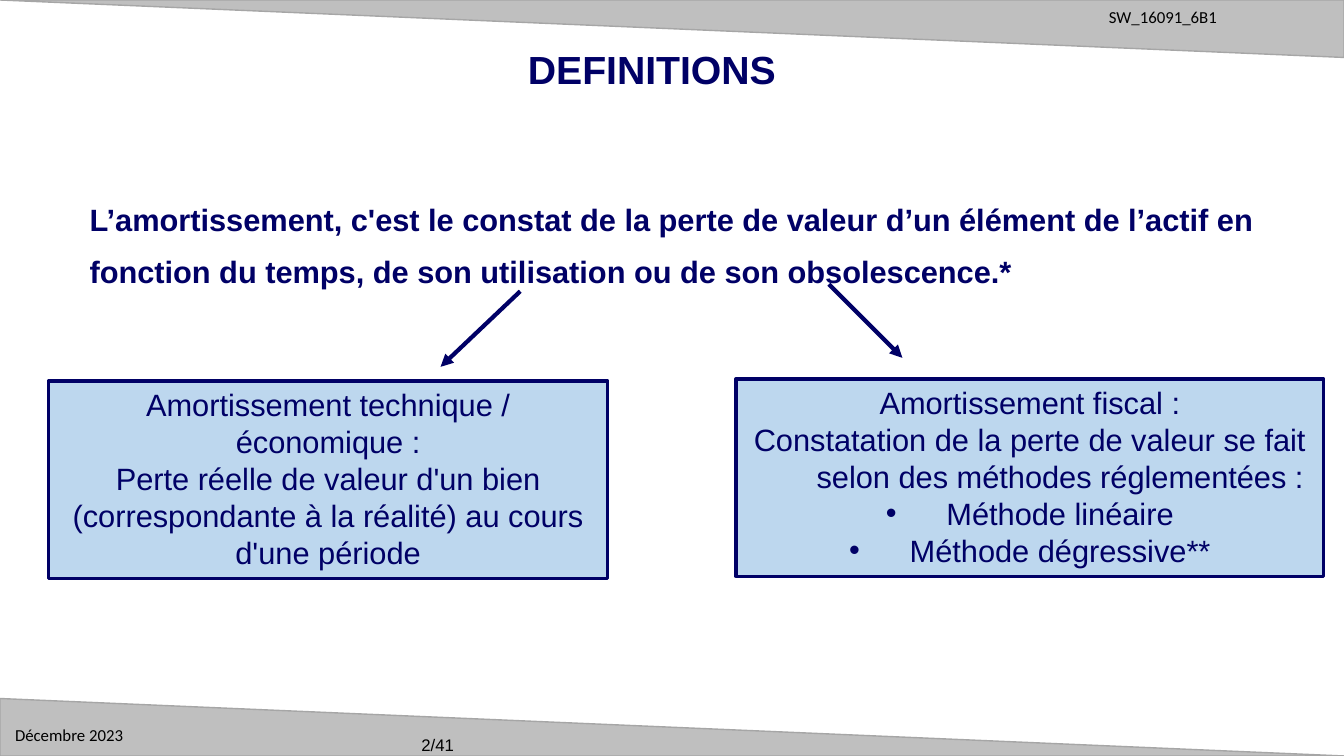
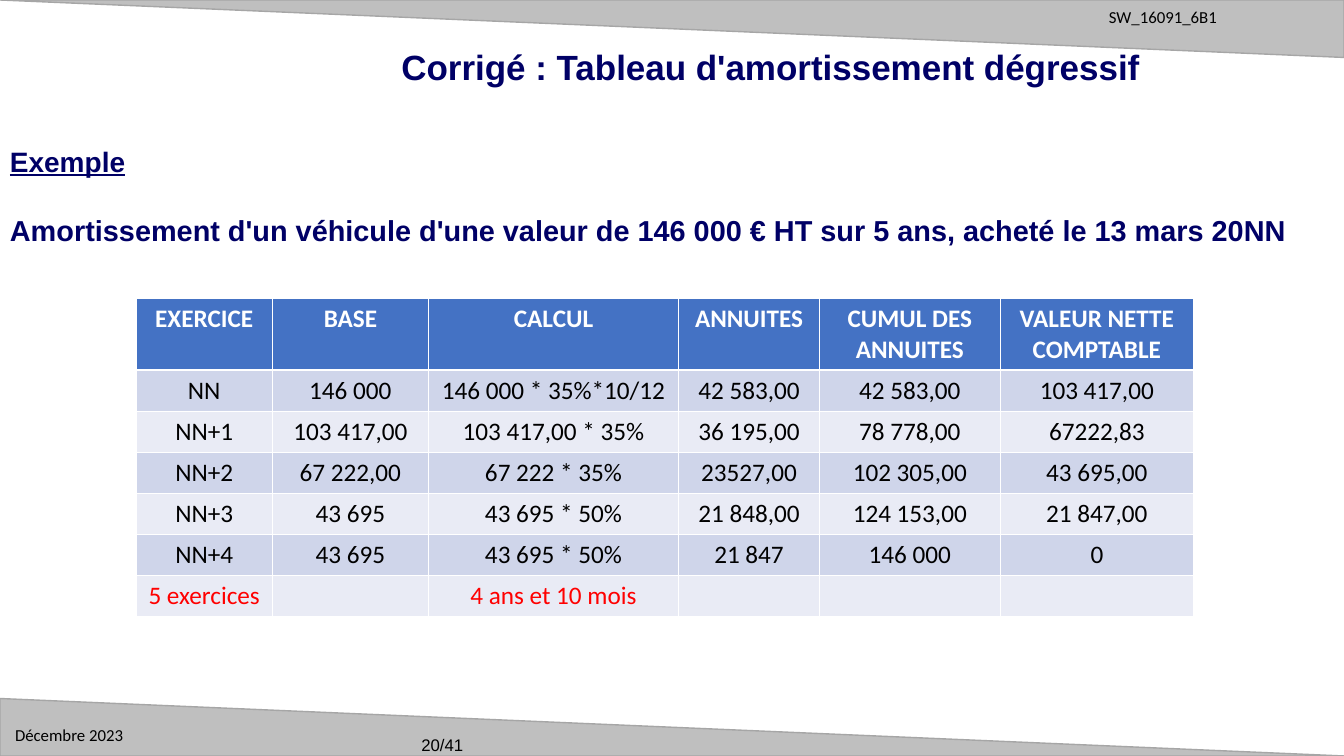
"""Build two slides on depreciation: its definitions and a worked table."""
from lxml.etree import SubElement
from pptx import Presentation
from pptx.dml.color import RGBColor
from pptx.enum.shapes import MSO_CONNECTOR, MSO_SHAPE
from pptx.enum.text import MSO_ANCHOR, MSO_AUTO_SIZE, PP_ALIGN
from pptx.oxml.ns import qn
from pptx.util import Inches, Pt

WIDE, HIGH = Inches(13.33), Inches(7.5)
INK = {"navy": "000066", "black": "000000", "white": "FFFFFF", "red": "FF0000",
       "band": "BFBFBF", "edge": "A6A6A6", "box": "BDD7EE",
       "head": "4472C4", "odd": "CFD5EA", "even": "E9EBF5"}
FONTS = {
    "title": {"name": "Arial", "size": Pt(28), "bold": True},
    "lead": {"name": "Arial", "size": Pt(22), "bold": True},
    "case": {"name": "Arial", "size": Pt(20.6), "bold": True},
    "label": {"name": "Arial", "size": Pt(20), "bold": True, "underline": True},
    "box": {"name": "Arial", "size": Pt(22), "bold": False},
    "page": {"name": "Arial", "size": Pt(12)},
    "note": {"name": "Calibri", "size": Pt(12)},
    "head": {"name": "Calibri", "size": Pt(18), "bold": True},
    "cell": {"name": "Calibri", "size": Pt(18), "bold": False},
}
FRAME = {"word_wrap": True, "auto_size": MSO_AUTO_SIZE.NONE,
         "vertical_anchor": MSO_ANCHOR.TOP}
MID = {"alignment": PP_ALIGN.CENTER}
COLS = [10.13, 11.63, 18.6, 10.5, 13.43, 14.4]
ROWS = [
    ["EXERCICE", "BASE", "CALCUL", "ANNUITES", "CUMUL DES ANNUITES",
     "VALEUR NETTE COMPTABLE"],
    ["NN", "146 000", "146 000 * 35%*10/12", "42 583,00", "42 583,00", "103 417,00"],
    ["NN+1", "103 417,00", "103 417,00 * 35%", "36 195,00", "78 778,00", "67222,83"],
    ["NN+2", "67 222,00", "67 222 * 35%", "23527,00", "102 305,00", "43 695,00"],
    ["NN+3", "43 695", "43 695 * 50%", "21 848,00", "124 153,00", "21 847,00"],
    ["NN+4", "43 695", "43 695 * 50%", "21 847", "146 000", "0"],
    ["5 exercices", "", "4 ans et 10 mois", "", "", ""],
]


def apply(item, form):
    """Set each attribute named in a dict of format values."""
    for key, val in form.items():
        setattr(item, key, val)


def tint(name):
    """Return a palette colour."""
    return RGBColor.from_string(INK[name])


def across(share):
    """Turn a percentage of the slide width into a length."""
    return round(WIDE * share / 100)


def down(share):
    """Turn a percentage of the slide height into a length."""
    return round(HIGH * share / 100)


def place(left, top, width, height):
    """Turn percentages of the slide into left, top, width and height."""
    return across(left), down(top), across(width), down(height)


def write(para, text, font, ink="navy", form=None):
    """Fill one paragraph with a formatted run."""
    run = para.add_run()
    run.text = text
    apply(run.font, FONTS[font])
    run.font.color.rgb = tint(ink)
    apply(para, form or {})


def fill(frame, lines):
    """Write lines of (text, font, ink, form) into a text frame."""
    apply(frame, FRAME)
    for num, line in enumerate(lines):
        write(frame.add_paragraph() if num else frame.paragraphs[0], *line)


def add_text(slide, area, *lines):
    """Add a text box."""
    fill(slide.shapes.add_textbox(*place(*area)).text_frame, lines)


def add_form(slide, kind, area, ink, edge, width):
    """Add a flat preset shape."""
    shape = slide.shapes.add_shape(kind, *place(*area))
    shape.shadow.inherit = False
    shape.fill.solid()
    shape.fill.fore_color.rgb = tint(ink)
    shape.line.color.rgb = tint(edge)
    shape.line.width = Pt(width)
    return shape


def add_band(slide, top, turn):
    """Add a grey wedge over the full slide width."""
    band = add_form(slide, MSO_SHAPE.ISOSCELES_TRIANGLE, (0, top, 100, 7.6),
                    "band", "edge", 1)
    band.adjustments[0] = 0
    band.rotation = turn


def add_box(slide, area, lines):
    """Add a blue box of centred lines and return its paragraphs."""
    box = add_form(slide, MSO_SHAPE.RECTANGLE, area, "box", "navy", 2.25)
    fill(box.text_frame, [(line, "box", "navy", MID) for line in lines])
    return box.text_frame.paragraphs


def hang(para, dot):
    """Give a paragraph a hanging indent and, if asked, a bullet."""
    props = para._p.get_or_add_pPr()
    props.set("marL", str(Inches(0.6)))
    props.set("indent", str(Inches(-0.6)))
    if dot:
        SubElement(props, qn("a:buFont")).set("typeface", "Arial")
        SubElement(props, qn("a:buChar")).set("char", "•")


def add_arrow(slide, left, top, right, base):
    """Add a navy arrow between two points."""
    link = slide.shapes.add_connector(MSO_CONNECTOR.STRAIGHT, across(left),
                                      down(top), across(right), down(base))
    link.line.color.rgb = tint("navy")
    link.line.width = Pt(3)
    props = link._element.spPr
    SubElement(props.find(qn("a:ln")), qn("a:tailEnd")).set("type", "triangle")
    SubElement(props, qn("a:effectLst"))


def add_grid(slide, left, top):
    """Add the yearly table with a dark head and banded rows."""
    tall = [9.33] + [5.44] * (len(ROWS) - 1)
    area = place(left, top, sum(COLS), sum(tall))
    grid = slide.shapes.add_table(len(ROWS), len(COLS), *area).table
    for col, share in zip(grid.columns, COLS):
        col.width = across(share)
    for num, (row, share) in enumerate(zip(grid.rows, tall)):
        row.height = down(share)
        back = ("odd" if num % 2 else "even") if num else "head"
        ink = {0: "white", len(ROWS) - 1: "red"}.get(num, "black")
        for cell, text in zip(row.cells, ROWS[num]):
            cell.fill.solid()
            cell.fill.fore_color.rgb = tint(back)
            if text:
                write(cell.text_frame.paragraphs[0], text,
                      "cell" if num else "head", ink, MID)


def add_slide(deck, title, area, page, size):
    """Add a slide with its title, bands and small print."""
    slide = deck.slides.add_slide(deck.slide_layouts[5])
    add_band(slide, 0, 180)
    add_band(slide, 92.4, 0)
    add_text(slide, (30.61, 96.47, 10, 3.53), (page, "page", "black"))
    add_text(slide, (81.77, 0.27, 17.93, 4), ("SW_16091_6B1", "note", "black"))
    add_text(slide, (0.38, 95.2, 10.35, 4), ("Décembre 2023", "note", "black"))
    head = slide.shapes.title
    apply(head, dict(zip(("left", "top", "width", "height"), place(*area))))
    fill(head.text_frame, [(title, "title", "navy", MID)])
    head.text_frame.word_wrap = False
    head.text_frame.paragraphs[0].runs[0].font.size = Pt(size)
    return slide


def add_terms(deck):
    """Add the slide of definitions."""
    slide = add_slide(deck, "DEFINITIONS", (38.41, 5.33, 20.18, 7.73), "2/41", 28)
    add_text(slide, (5.93, 24, 89.65, 15.2),
             ("L’amortissement, c'est le constat de la perte de valeur d’un "
              "élément de l’actif en fonction du temps, de son utilisation ou "
              "de son obsolescence.*", "lead", "navy", {"line_spacing": 1.4}))
    add_arrow(slide, 38.71, 38.53, 32.78, 48.53)
    add_arrow(slide, 61.67, 37.6, 67.14, 47.33)
    add_box(slide, (3.6, 50.4, 41.63, 26.13),
            ["Amortissement technique / économique :",
             "Perte réelle de valeur d'un bien (correspondante à la réalité) "
             "au cours d'une période"])
    paras = add_box(slide, (54.76, 50.13, 43.74, 26.13),
                    ["Amortissement fiscal :",
                     "Constatation de la perte de valeur se fait selon des "
                     "méthodes réglementées :",
                     "Méthode linéaire", "Méthode dégressive**"])
    for num, para in enumerate(paras):
        hang(para, num > 1)


def add_case(deck):
    """Add the slide of the worked example."""
    slide = add_slide(deck, "Corrigé : Tableau d'amortissement dégressif",
                      (27.23, 5.33, 60.17, 6.93), "20/41", 25)
    add_text(slide, (0, 18.4, 100, 14.93), ("Exemple", "label"),
             ("Amortissement d'un véhicule d'une valeur de 146 000 € HT sur "
              "5 ans, acheté le 13 mars 20NN", "case", "navy",
              {"space_before": Pt(25)}))
    add_grid(slide, 10.13, 39.47)


def main():
    """Build and save the deck."""
    deck = Presentation()
    apply(deck, {"slide_width": WIDE, "slide_height": HIGH})
    add_terms(deck)
    add_case(deck)
    deck.save("out.pptx")


if __name__ == "__main__":
    main()
